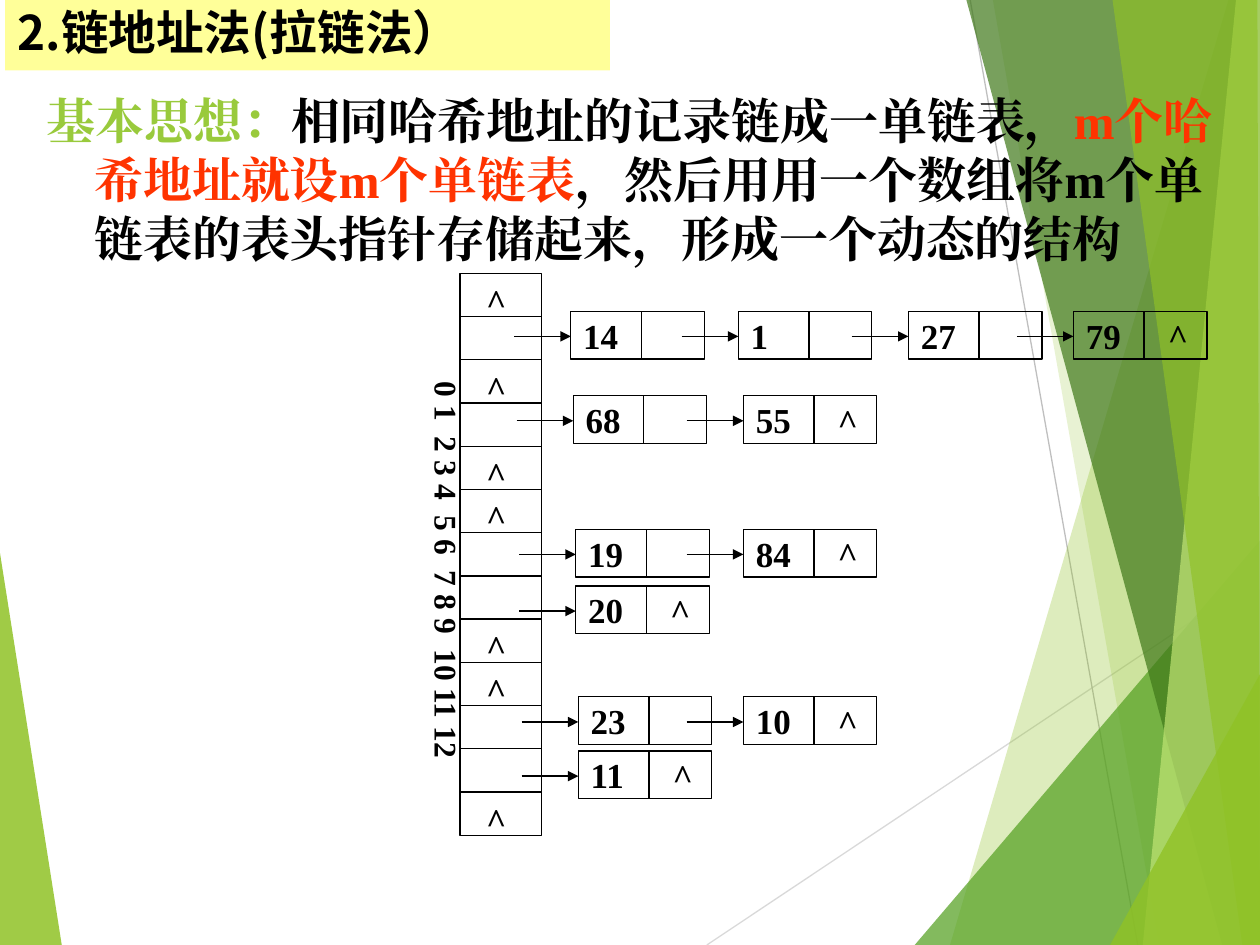
from lxml import etree
from pptx import Presentation
from pptx.dml.color import RGBColor
from pptx.enum.shapes import MSO_CONNECTOR as CONN, MSO_SHAPE as SHAPE
from pptx.enum.text import MSO_ANCHOR as ANCHOR, MSO_AUTO_SIZE as AUTO, PP_ALIGN as ALIGN
from pptx.oxml.ns import qn
from pptx.util import Inches, Pt

BLACK = RGBColor(0x00, 0x00, 0x00)
RED = RGBColor(0xFF, 0x33, 0x00)
LEAF = RGBColor(0x99, 0xCA, 0x3C)
YELLOW = RGBColor(0xFF, 0xFF, 0x99)
SILVER = RGBColor(0xD9, 0xD9, 0xD9)
GRAY = RGBColor(0xBF, 0xBF, 0xBF)
GREEN = RGBColor(0x90, 0xC2, 0x26)
MID_GREEN = RGBColor(0x54, 0xA0, 0x21)
DARK_GREEN = RGBColor(0x3F, 0x78, 0x19)
PALE_GREEN = RGBColor(0xC0, 0xE4, 0x74)

SERIF = "Times New Roman"
SANS = "Noto Sans CJK SC"

# Facets of the background: colour, opacity in percent, corners
LEFT_FACET = (GREEN, 85, [(0, 4.39), (0.49, 7.5), (0, 7.5)])
RIGHT_FACETS = [
    (GREEN, 30, [(9.75, 0), (7.54, 7.5), (10, 7.5), (10, 0)]),
    (GREEN, 20, [(7.88, 0), (9.2, 7.5), (10, 7.5), (10, 0)]),
    (MID_GREEN, 72, [(7.26, 7.5), (10, 4.29), (10, 7.5)]),
    (DARK_GREEN, 70, [(7.67, 0), (9.7, 7.5), (10, 7.5), (10, 0)]),
    (PALE_GREEN, 70, [(9.81, 0), (9.07, 7.5), (10, 7.5), (10, 0)]),
    (GREEN, 65, [(8.83, 0), (9.86, 7.5), (10, 7.5), (9.98, 0)]),
    (GREEN, 80, [(8.81, 7.5), (10, 5.35), (10, 7.5)]),
]

# Hash table: slots, indexes in their groups, and the linked lists
SLOT_COUNT, SLOT_H = 13, 0.343
EMPTY_SLOTS = [0, 2, 4, 5, 8, 9, 12]
INDEX_GROUPS = ["0 1", "2 3 4", "5 6", "7 8 9", "10 11 12"]
NODE_W, NODE_H = 1.06, 0.38
CHAINS = [  # top, then (left, key) of each node
    (2.47, [(4.53, "14"), (5.86, "1"), (7.21, "27"), (8.52, "79")]),
    (3.14, [(4.55, "68"), (5.9, "55")]),
    (4.2, [(4.57, "19"), (5.9, "84")]),
    (4.65, [(4.57, "20")]),
    (5.53, [(4.59, "23"), (5.9, "10")]),
    (5.96, [(4.59, "11")]),
]


def write(sp, runs, size=20, font=SERIF, wrap=False, anchor=ANCHOR.TOP,
          grow=False, spacing=None):
    """Write runs of (text, colour) or (text, colour, tracking) as one paragraph."""
    tf = sp.text_frame
    tf.word_wrap = wrap
    tf.vertical_anchor = anchor
    tf.auto_size = AUTO.SHAPE_TO_FIT_TEXT if grow else AUTO.NONE
    p = tf.paragraphs[0]
    p.alignment = ALIGN.LEFT
    if spacing:
        p.line_spacing = spacing
    for text, color, *tracking in runs:
        r = p.add_run()
        r.text = text
        r.font.size, r.font.bold, r.font.name = Pt(size), True, font
        r.font.color.rgb = color
        rPr = r.font._element
        etree.SubElement(rPr, qn("a:ea")).set("typeface", font)
        for points in tracking:
            rPr.set("spc", str(int(points * 100)))
    return p


def add_text(s, x, y, w, h, runs, **fmt):
    sp = s.shapes.add_textbox(Inches(x), Inches(y), Inches(w), Inches(h))
    write(sp, runs, **fmt)
    return sp


def add_rect(s, x, y, w, h, fill=None, line=None):
    sp = s.shapes.add_shape(SHAPE.RECTANGLE, Inches(x), Inches(y), Inches(w), Inches(h))
    sp.shadow.inherit = False
    if fill is None:
        sp.fill.background()
    else:
        sp.fill.solid()
        sp.fill.fore_color.rgb = fill
    if line is None:
        sp.line.fill.background()
    else:
        sp.line.color.rgb, sp.line.width = line, Pt(0.75)
    return sp


def add_line(s, x1, y1, x2, y2, color=BLACK, arrow=False):
    c = s.shapes.add_connector(CONN.STRAIGHT, Inches(x1), Inches(y1), Inches(x2), Inches(y2))
    c.line.color.rgb, c.line.width = color, Pt(0.75)
    if arrow:
        etree.SubElement(c.line._get_or_add_ln(), qn("a:tailEnd")).set("type", "triangle")
    etree.SubElement(c._element.spPr, qn("a:effectLst"))


def add_facet(s, color, opacity, corners):
    points = [(Inches(x), Inches(y)) for x, y in corners]
    builder = s.shapes.build_freeform(*points[0])
    builder.add_line_segments(points[1:], close=True)
    sp = builder.convert_to_shape()
    sp.shadow.inherit = False
    sp.line.fill.background()
    sp.fill.solid()
    sp.fill.fore_color.rgb = color
    clr = sp._element.spPr.find(qn("a:solidFill"))[0]
    etree.SubElement(clr, qn("a:alpha")).set("val", str(opacity * 1000))


def add_background(s):
    add_facet(s, *LEFT_FACET)
    add_line(s, 5.61, 7.5, 10, 4.57, SILVER)
    add_line(s, 7.7, 0, 9.03, 7.5, GRAY)
    for facet in RIGHT_FACETS:
        add_facet(s, *facet)


def add_title(s, x, y, w, h):
    sp = add_rect(s, x, y, w, h, fill=YELLOW)
    write(sp, [("2.链地址法(拉链法）", BLACK)], size=27.2, font=SANS,
          wrap=True, anchor=ANCHOR.MIDDLE, spacing=0.9)


def add_idea(s, x, y, w, h):
    sp = add_text(s, x, y, w, h, [
        ("基本思想：", LEAF),
        ("相同哈希地址的记录链成一单链表，", BLACK),
        ("m个哈希地址就设m个单链表", RED),
        ("，然后用用一个数组将m个单链表的表头指针存储起来，形成一个动态的结构", BLACK),
    ], size=28, wrap=True, grow=True)
    pPr = sp.text_frame.paragraphs[0]._p.get_or_add_pPr()
    pPr.set("marL", str(Inches(0.38)))
    pPr.set("indent", str(Inches(-0.38)))


def add_null(s, x, y):
    add_text(s, x, y, 0.36, 0.44, [("^", BLACK)], grow=True)


def add_slots(s, x, y, w, h):
    add_rect(s, x, y, w, h, line=BLACK)
    for i in range(1, SLOT_COUNT):
        add_line(s, x, y + i * SLOT_H, x + w, y + i * SLOT_H)
    for i in EMPTY_SLOTS:
        add_null(s, x + 0.11, y + i * SLOT_H)


def add_indexes(s, x, y, w, h):
    # A wider space parts the groups
    runs = [(INDEX_GROUPS[0], BLACK)]
    for group in INDEX_GROUPS[1:]:
        runs += [(" ", BLACK, 4.5), (group, BLACK)]
    sp = add_text(s, x, y, w, h, runs, size=18, grow=True)
    tf = sp.text_frame
    tf.margin_left = tf.margin_right = Inches(0.05)
    tf.margin_top = tf.margin_bottom = Inches(0.1)
    tf._txBody.bodyPr.set("vert", "eaVert")


def add_node(s, x, y, key, last):
    sp = add_rect(s, x, y, NODE_W, NODE_H, line=BLACK)
    write(sp, [(key, BLACK)], anchor=ANCHOR.MIDDLE)
    add_line(s, x + 0.56, y, x + 0.56, y + NODE_H)
    add_line(s, x - 0.45, y + 0.2, x, y + 0.2, arrow=True)
    if last:
        add_null(s, x + 0.65, y - 0.02)


def main():
    prs = Presentation()
    prs.slide_width, prs.slide_height = Inches(10), Inches(7.5)
    s = prs.slides.add_slide(prs.slide_layouts[6])
    add_background(s)
    add_title(s, 0.04, 0, 4.8, 0.56)
    add_idea(s, 0.27, 0.67, 9.53, 1.5)
    add_slots(s, 3.65, 2.17, 0.65, SLOT_COUNT * SLOT_H)
    add_indexes(s, 3.25, 2.93, 0.5, 3.17)
    for top, nodes in CHAINS:
        for x, key in nodes:
            add_node(s, x, top, key, last=(x, key) == nodes[-1])
    prs.save("out.pptx")


if __name__ == "__main__":
    main()
